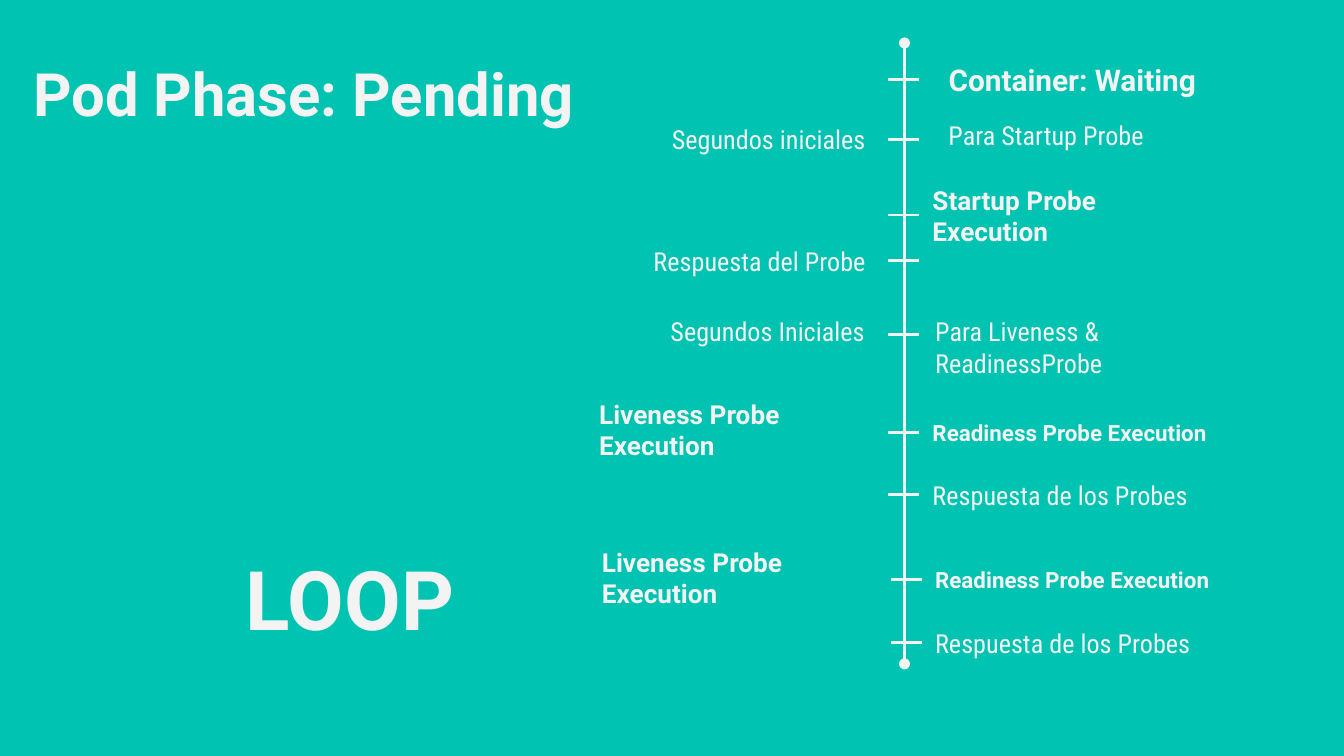
from typing import NamedTuple

from lxml import etree
from pptx import Presentation
from pptx import util as u
from pptx.dml.color import RGBColor
from pptx.enum import shapes, text
from pptx.oxml import ns

PX = 9144  # 100 px to the inch
SLIDE_WIDTH = 1000
COLORS = {"background": "00C3B1", "ink": "F3F3F3"}
BOLD_FONT, LIGHT_FONT = "Roboto", "Roboto Condensed"
LABEL_WIDTH, LABEL_HEIGHT = 226, 69
AXIS_X, AXIS_TOP, AXIS_BOTTOM = 673, 32, 494
TICK_LENGTH = 23
LEFT, RIGHT = text.PP_ALIGN.LEFT, text.PP_ALIGN.RIGHT
TOP, MIDDLE = text.MSO_ANCHOR.TOP, text.MSO_ANCHOR.MIDDLE


class Label(NamedTuple):
    words: str
    left: int
    top: int
    size: int = 14
    bold: bool = False
    align: text.PP_ALIGN = LEFT
    anchor: text.MSO_ANCHOR = MIDDLE
    width: int = LABEL_WIDTH
    height: int = LABEL_HEIGHT


class Tick(NamedTuple):
    left: int
    y: int


def probe_round(left: int, top: int) -> list[Label]:
    """Labels of one liveness and readiness round; left and top place the liveness label."""
    return [
        Label("Liveness Probe Execution", left, top, bold=True),
        Label("Readiness Probe Execution", left + 248, top + 2, 12, True),
        Label("Respuesta de los Probes", left + 248, top + 49),
    ]


LABELS = [
    Label("Pod Phase: Pending", 15, 32, 32, True, anchor=TOP, width=520, height=74),
    Label("LOOP", 122, 410, 44, True, RIGHT),
    Label("Container: Waiting", 696, 25, 16, True),
    Label("Segundos iniciales", 428, 69, align=RIGHT),
    Label("Para Startup Probe", 635, 66, align=RIGHT),
    Label("Startup Probe Execution", 684, 126, bold=True),
    Label("Respuesta del Probe", 428, 160, align=RIGHT),
    Label("Segundos Iniciales", 489, 225, anchor=TOP, width=178, height=47),
    Label("Para Liveness & ReadinessProbe", 686, 225, anchor=TOP, width=209, height=47),
    *probe_round(436, 285),
    *probe_round(438, 395),
]
TICKS = [Tick(661, y) for y in (59, 104, 160, 194, 249, 322, 368)]
TICKS += [Tick(663, y) for y in (431, 478)]


def add_label(slide, label: Label) -> None:
    box = slide.shapes.add_textbox(
        label.left * PX, label.top * PX, label.width * PX, label.height * PX
    )
    frame = box.text_frame
    frame.word_wrap = True
    frame.vertical_anchor = label.anchor
    frame.margin_left = frame.margin_right = 10 * PX
    frame.margin_top = frame.margin_bottom = 10 * PX
    paragraph = frame.paragraphs[0]
    paragraph.text = label.words
    paragraph.alignment = label.align
    font = paragraph.font
    font.name = BOLD_FONT if label.bold else LIGHT_FONT
    font.size = u.Pt(label.size)
    font.bold = label.bold
    font.color.rgb = RGBColor.from_string(COLORS["ink"])


def add_line(slide, x1: int, y1: int, x2: int, y2: int, oval_ends: bool = False) -> None:
    line = slide.shapes.add_connector(
        shapes.MSO_CONNECTOR.STRAIGHT, x1 * PX, y1 * PX, x2 * PX, y2 * PX
    )
    line.line.width = u.Pt(1.5)
    line.line.color.rgb = RGBColor.from_string(COLORS["ink"])
    properties = line._element.spPr
    etree.SubElement(properties, ns.qn("a:effectLst"))
    if oval_ends:
        outline = properties.find(ns.qn("a:ln"))
        for end in ("a:headEnd", "a:tailEnd"):
            etree.SubElement(outline, ns.qn(end), type="oval")


def main() -> None:
    presentation = Presentation()
    presentation.slide_width = SLIDE_WIDTH * PX
    presentation.slide_height = SLIDE_WIDTH * PX * 9 // 16
    slide = presentation.slides.add_slide(presentation.slide_layouts[6])
    fill = slide.background.fill
    fill.solid()
    fill.fore_color.rgb = RGBColor.from_string(COLORS["background"])

    add_line(slide, AXIS_X, AXIS_TOP, AXIS_X, AXIS_BOTTOM, oval_ends=True)
    for tick in TICKS:
        add_line(slide, tick.left, tick.y, tick.left + TICK_LENGTH, tick.y)
    for label in LABELS:
        add_label(slide, label)
    presentation.save("out.pptx")


if __name__ == "__main__":
    main()
